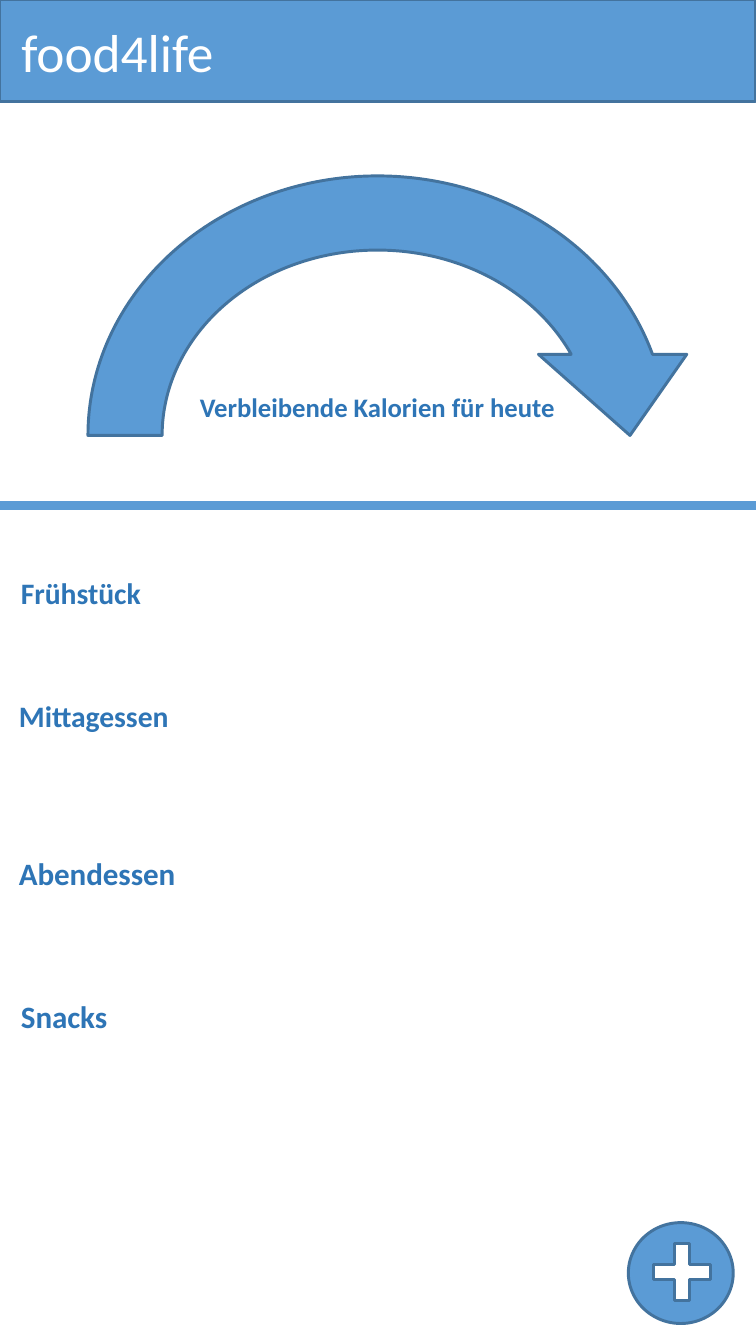
from dataclasses import dataclass
from typing import NamedTuple

from lxml import etree
from pptx import Presentation
from pptx.dml.color import RGBColor
from pptx.enum.shapes import MSO_CONNECTOR, MSO_SHAPE
from pptx.enum.text import MSO_ANCHOR, MSO_AUTO_SIZE, PP_ALIGN
from pptx.oxml.ns import qn
from pptx.util import Cm, Emu, Pt

PIXELS_PER_INCH = 213.6
EMU_PER_PIXEL = 914400 / PIXELS_PER_INCH
PAGE_WIDTH, PAGE_HEIGHT = Cm(9), Cm(16)
TITLE_ONLY = 5
DIVIDER_Y = 506
ELLIPSE, PLUS, ARC_ARROW = MSO_SHAPE.OVAL, MSO_SHAPE.CROSS, MSO_SHAPE.CIRCULAR_ARROW
STRAIGHT = MSO_CONNECTOR.STRAIGHT
MIDDLE, LEFT = MSO_ANCHOR.MIDDLE, PP_ALIGN.LEFT
NO_FIT, GROW = MSO_AUTO_SIZE.NONE, MSO_AUTO_SIZE.SHAPE_TO_FIT_TEXT


@dataclass(frozen=True)
class Theme:
    font: str = "Calibri"
    blue: RGBColor = RGBColor(0x5B, 0x9B, 0xD5)
    outline: RGBColor = RGBColor(0x43, 0x73, 0x9E)
    label: RGBColor = RGBColor(0x2E, 0x75, 0xB6)
    white: RGBColor = RGBColor(0xFF, 0xFF, 0xFF)
    title_size: float = 18
    caption_size: float = 9
    meal_size: float = 10
    late_meal_size: float = 10.5
    outline_width: float = 1
    divider_width: float = 3.25


THEME = Theme()


class Frame(NamedTuple):
    left: int
    top: int
    width: int
    height: int


class Figure(NamedTuple):
    kind: MSO_SHAPE
    frame: Frame
    fill: RGBColor
    adjustments: tuple[float, ...] = ()


class Label(NamedTuple):
    text: str
    frame: Frame
    size: float


HEADER = Frame(0, 0, 756, 102)

FIGURES = [
    Figure(ELLIPSE, Frame(629, 1224, 105, 101), THEME.blue),
    Figure(PLUS, Frame(654, 1245, 57, 57), THEME.white, (0.37,)),
    Figure(ARC_ARROW, Frame(51, 139, 654, 594), THEME.blue),
]

LABELS = [
    Label("Verbleibende Kalorien für heute", Frame(179, 381, 406, 53), THEME.caption_size),
    Label("Frühstück", Frame(0, 565, 164, 58), THEME.meal_size),
    Label("Mittagessen", Frame(-2, 688, 197, 58), THEME.meal_size),
    Label("Abendessen", Frame(-2, 845, 203, 60), THEME.late_meal_size),
    Label("Snacks", Frame(0, 988, 130, 60), THEME.late_meal_size),
]


def px(pixels: int) -> Emu:
    return Emu(round(pixels * EMU_PER_PIXEL))


def emu_frame(frame: Frame) -> list[Emu]:
    return [px(length) for length in frame]


def paint(shape, fill: RGBColor) -> None:
    shape.fill.solid()
    shape.fill.fore_color.rgb = fill
    shape.line.color.rgb = THEME.outline
    shape.line.width = Pt(THEME.outline_width)


def write(shape, text: str, size: float, color: RGBColor, bold: bool) -> None:
    shape.text_frame.text = text
    para = shape.text_frame.paragraphs[0]
    para.alignment = LEFT
    para.font.name = THEME.font
    para.font.size = Pt(size)
    para.font.bold = bold
    para.font.color.rgb = color


def format_title(page) -> None:
    title = page.shapes.title
    title.left, title.top, title.width, title.height = emu_frame(HEADER)
    paint(title, THEME.blue)
    write(title, "food4life", THEME.title_size, THEME.white, False)
    title.text_frame.auto_size = NO_FIT
    title.text_frame.vertical_anchor = MIDDLE


def draw_figure(page, figure: Figure) -> None:
    shape = page.shapes.add_shape(figure.kind, *emu_frame(figure.frame))
    shape.shadow.inherit = False
    paint(shape, figure.fill)
    for index, value in enumerate(figure.adjustments):
        shape.adjustments[index] = value


def draw_label(page, label: Label) -> None:
    box = page.shapes.add_textbox(*emu_frame(label.frame))
    box.text_frame.word_wrap = False
    box.text_frame.auto_size = GROW
    write(box, label.text, label.size, THEME.label, True)


def draw_divider(page) -> None:
    divider = page.shapes.add_connector(
        STRAIGHT, px(0), px(DIVIDER_Y), PAGE_WIDTH, px(DIVIDER_Y)
    )
    divider.line.color.rgb = THEME.blue
    divider.line.width = Pt(THEME.divider_width)
    etree.SubElement(divider._element.spPr, qn("a:effectLst"))


def main() -> None:
    deck = Presentation()
    deck.slide_width, deck.slide_height = PAGE_WIDTH, PAGE_HEIGHT
    page = deck.slides.add_slide(deck.slide_layouts[TITLE_ONLY])
    format_title(page)
    for figure in FIGURES:
        draw_figure(page, figure)
    draw_divider(page)
    for label in LABELS:
        draw_label(page, label)
    deck.save("out.pptx")


main()
